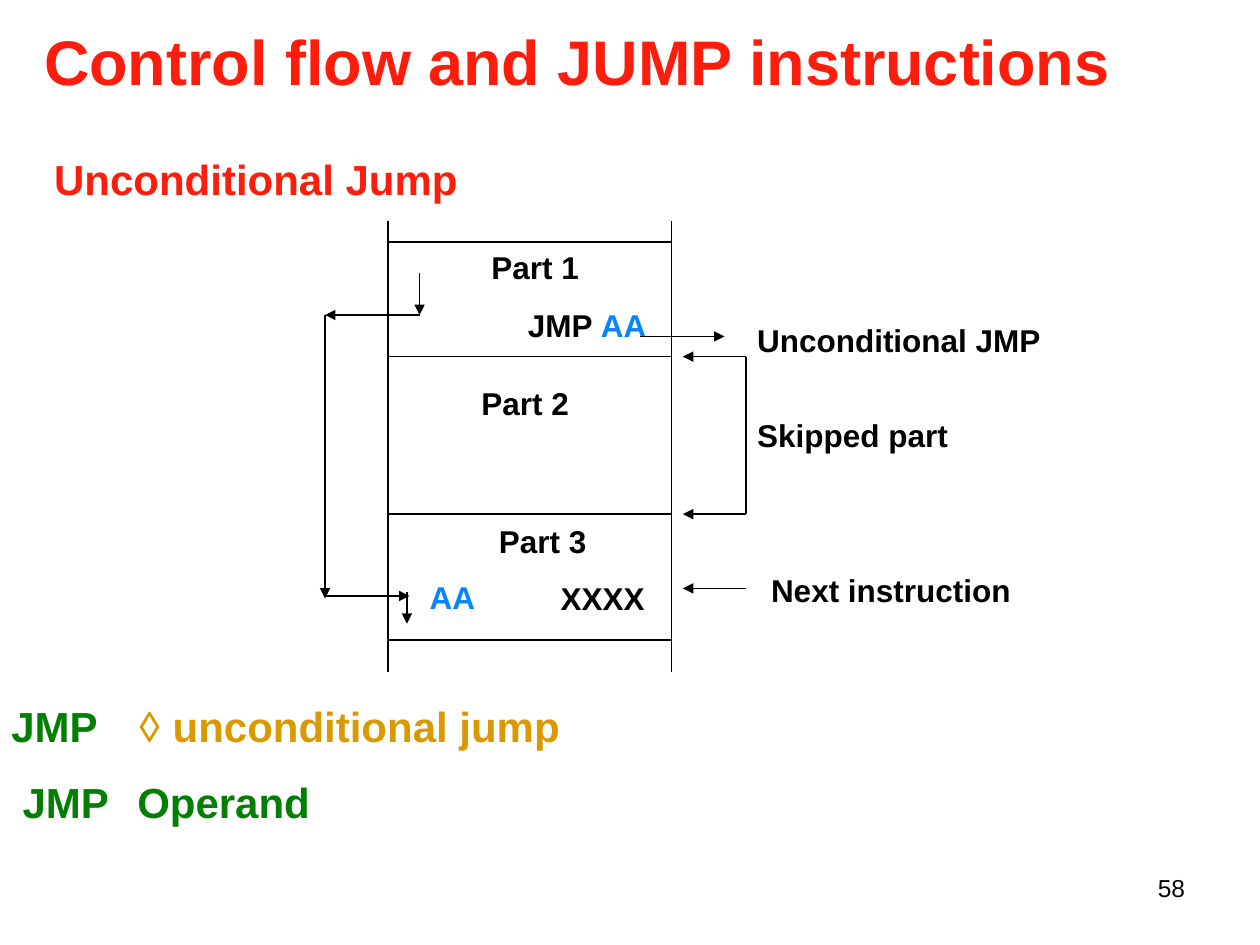
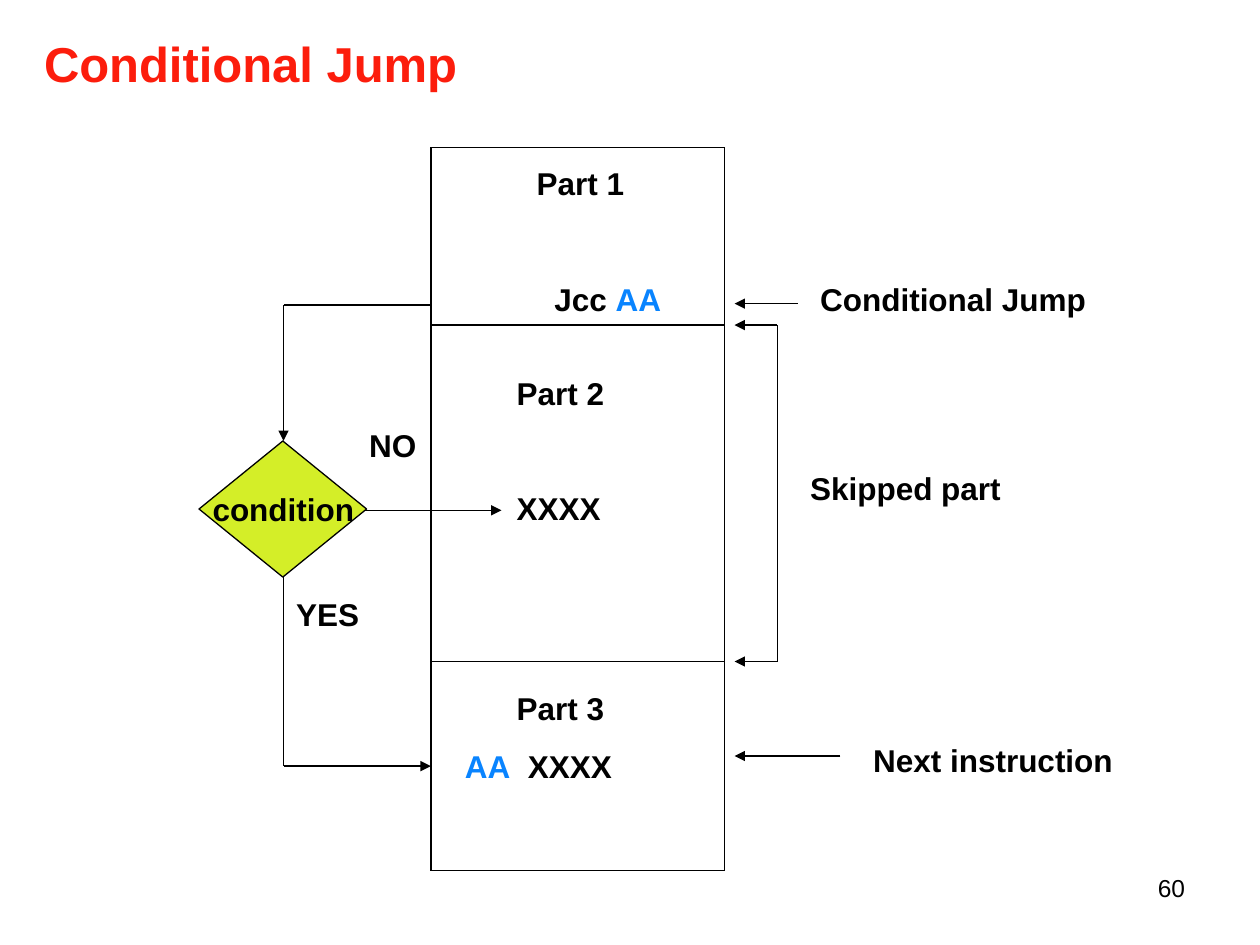
from dataclasses import dataclass

from lxml import etree
from pptx import Presentation, util as u
from pptx.dml import color
from pptx.enum import shapes, text
from pptx.oxml import ns

RED, BLUE, GREEN = "FC1D0C", "0984FF", "007F00"
GOLD, LIME, BLACK = "DA9900", "D4EE28", "000000"
LINE_WIDTH = 0.75


@dataclass
class Span:
    text: str
    colour: str = BLACK
    font: str = "Arial"
    bold: bool = True


@dataclass
class Line:
    spans: list
    margin: float = 0.01
    first: float = 0
    before: float = 0
    spacing: float = 1.0


def rgb(colour):
    return color.RGBColor.from_string(colour)


def plain(words, colour=BLACK, **layout):
    return Line([Span(words, colour)], **layout)


def set_layout(para, line):
    props = para._p.get_or_add_pPr()
    props.set("marL", str(u.Inches(line.margin)))
    props.set("indent", str(u.Inches(line.first)))
    if line.before:
        para.space_before = u.Pt(line.before)
    if line.spacing != 1:
        para.line_spacing = line.spacing


def write(box, lines, size=18, top=0.01):
    frame = box.text_frame
    frame.word_wrap = True
    frame.vertical_anchor = text.MSO_ANCHOR.TOP
    frame.margin_left = frame.margin_right = frame.margin_bottom = 0
    frame.margin_top = u.Inches(top)
    for number, line in enumerate(lines):
        para = frame.add_paragraph() if number else frame.paragraphs[0]
        para.alignment = text.PP_ALIGN.LEFT
        set_layout(para, line)
        for span in line.spans:
            run = para.add_run()
            run.text = span.text
            run.font.name = span.font
            run.font.size = u.Pt(size)
            run.font.bold = span.bold
            run.font.color.rgb = rgb(span.colour)


def add_text(page, left, top, width, height, lines, size=18, inset=0.01):
    box = page.shapes.add_textbox(*map(u.Inches, (left, top, width, height)))
    write(box, lines, size, inset)


def add_label(page, left, top, width, words, colour=BLACK):
    add_text(page, left, top, width, 0.33, [plain(words, colour)])


def add_outline(page, kind, left, top, width, height, fill=None):
    shape = page.shapes.add_shape(kind, *map(u.Inches, (left, top, width, height)))
    shape.shadow.inherit = False
    if fill:
        shape.fill.solid()
        shape.fill.fore_color.rgb = rgb(fill)
    else:
        shape.fill.background()
    shape.line.color.rgb = rgb(BLACK)
    shape.line.width = u.Pt(LINE_WIDTH)
    return shape


def add_block(page, left, top, width, height):
    return add_outline(page, shapes.MSO_SHAPE.RECTANGLE, left, top, width, height)


def add_line(page, start, end, arrow=False):
    line = page.shapes.add_connector(
        shapes.MSO_CONNECTOR.STRAIGHT, *map(u.Inches, (*start, *end)))
    line.line.color.rgb = rgb(BLACK)
    line.line.width = u.Pt(LINE_WIDTH)
    if arrow:
        etree.SubElement(line.line._get_or_add_ln(), ns.qn("a:tailEnd"),
                         type="triangle", w="med", len="med")
    etree.SubElement(line._element.spPr, ns.qn("a:effectLst"))


def add_arrow(page, start, end):
    add_line(page, start, end, arrow=True)


def add_route(page, points, arrows):
    for number, (start, end) in enumerate(zip(points, points[1:])):
        add_line(page, start, end, number in arrows)


def add_memory(page, left, right, top, bottom, rows):
    for x in (left, right):
        add_line(page, (x, top), (x, bottom))
    for y in rows:
        add_line(page, (left, y), (right, y))


def add_skip_bracket(page, tip, spine, top, bottom):
    add_line(page, (spine, top), (spine, bottom))
    for y in (top, bottom):
        add_arrow(page, (spine, y), (tip, y))


def add_page(deck, title, size, top, number):
    page = deck.slides.add_slide(deck.slide_layouts[6])
    add_text(page, 0.34, top, 9, 0.63, [plain(title, RED)], size)
    add_text(page, 9.16, 6.89, 0.27, 0.25,
             [Line([Span(number, bold=False)], margin=0.03, spacing=1.17)], 14, 0)
    return page


def build_unconditional(deck):
    page = add_page(deck, "Control flow and JUMP instructions", 36, 0.17, "58")
    add_text(page, 0.42, 1.21, 3.5, 0.43, [plain("Unconditional Jump", RED)], 24)

    left, right = 3.08, 5.33
    add_memory(page, left, right, 1.75, 5.33, [1.92, 5.08])
    part2 = add_block(page, left, 2.83, right - left, 1.25)
    write(part2, [plain("Part 2", margin=0.74)], top=0.22)
    add_text(page, 3.89, 1.8, 1.35, 0.94, [
        plain("Part 1"),
        Line([Span("JMP "), Span("AA", BLUE)], margin=0.3, before=11.3)], inset=0.17)
    add_text(page, 3.95, 3.97, 1.3, 0.94, [
        plain("Part 3"),
        plain("XXXX", margin=0.5, before=11.2)], inset=0.17)
    add_label(page, 3.4, 4.58, 0.45, "AA", BLUE)

    add_route(page, [(3.33, 2.17), (3.33, 2.5), (2.58, 2.5), (2.58, 4.75)], {0, 1, 2})
    add_arrow(page, (2.58, 4.73), (3.25, 4.73))
    add_arrow(page, (3.23, 4.7), (3.23, 4.95))

    add_arrow(page, (5.08, 2.67), (5.75, 2.67))
    add_skip_bracket(page, 5.42, 5.92, 2.83, 4.08)
    add_arrow(page, (5.92, 4.67), (5.42, 4.67))
    add_label(page, 6, 2.54, 2.4, "Unconditional JMP")
    add_label(page, 6, 3.29, 1.7, "Skipped part")
    add_label(page, 6.11, 4.52, 2.1, "Next instruction")

    add_text(page, 0.08, 5.34, 4.6, 1.24, [
        Line([Span("JMP\t", GREEN), Span("◊ ", GOLD, "Open Sans", False),
              Span("unconditional jump", GOLD)], spacing=1.52),
        plain("JMP\tOperand", GREEN, first=0.09, spacing=1.52)], 24)


def build_conditional(deck):
    page = add_page(deck, "Conditional Jump", 28, 0.26, "60")

    left, right = 3.42, 5.75
    add_memory(page, left, right, 1.17, 6.91, [1.17, 2.58])
    part3 = add_block(page, left, 5.25, right - left, 1.66)
    write(part3, [
        plain("Part 3", margin=0.68),
        Line([Span("AA\t", BLUE), Span("XXXX")], margin=0.27, before=11.3)], top=0.22)
    add_label(page, 4.25, 1.29, 0.85, "Part 1")
    add_text(page, 4.39, 2.21, 1, 0.33, [Line([Span("Jcc "), Span("AA", BLUE)])])
    add_label(page, 4.09, 2.96, 0.85, "Part 2")
    add_label(page, 4.09, 3.87, 0.85, "XXXX")

    condition = add_outline(page, shapes.MSO_SHAPE.DIAMOND, 1.58, 3.5, 1.33, 1.08, LIME)
    write(condition, [plain("condition")], top=0)
    condition.text_frame.word_wrap = False
    condition.text_frame.vertical_anchor = text.MSO_ANCHOR.MIDDLE
    condition.text_frame.paragraphs[0].alignment = text.PP_ALIGN.CENTER

    add_route(page, [(left, 2.42), (2.25, 2.42), (2.25, 3.5)], {1})
    add_route(page, [(2.25, 4.58), (2.25, 6.08), (left, 6.08)], {1})
    add_arrow(page, (2.89, 4.05), (3.98, 4.05))
    add_label(page, 2.92, 3.37, 0.5, "NO")
    add_label(page, 2.34, 4.71, 0.7, "YES")

    tip = 5.83
    add_arrow(page, (6.33, 2.41), (tip, 2.41))
    add_skip_bracket(page, tip, 6.17, 2.58, 5.25)
    add_arrow(page, (6.67, 6), (tip, 6))
    add_label(page, 6.5, 2.21, 2.3, "Conditional Jump")
    add_label(page, 6.42, 3.71, 1.7, "Skipped part")
    add_label(page, 6.92, 5.87, 2.1, "Next instruction")


def main():
    deck = Presentation()
    deck.slide_width, deck.slide_height = u.Inches(10), u.Inches(7.5)
    build_unconditional(deck)
    build_conditional(deck)
    deck.save("out.pptx")


if __name__ == "__main__":
    main()
